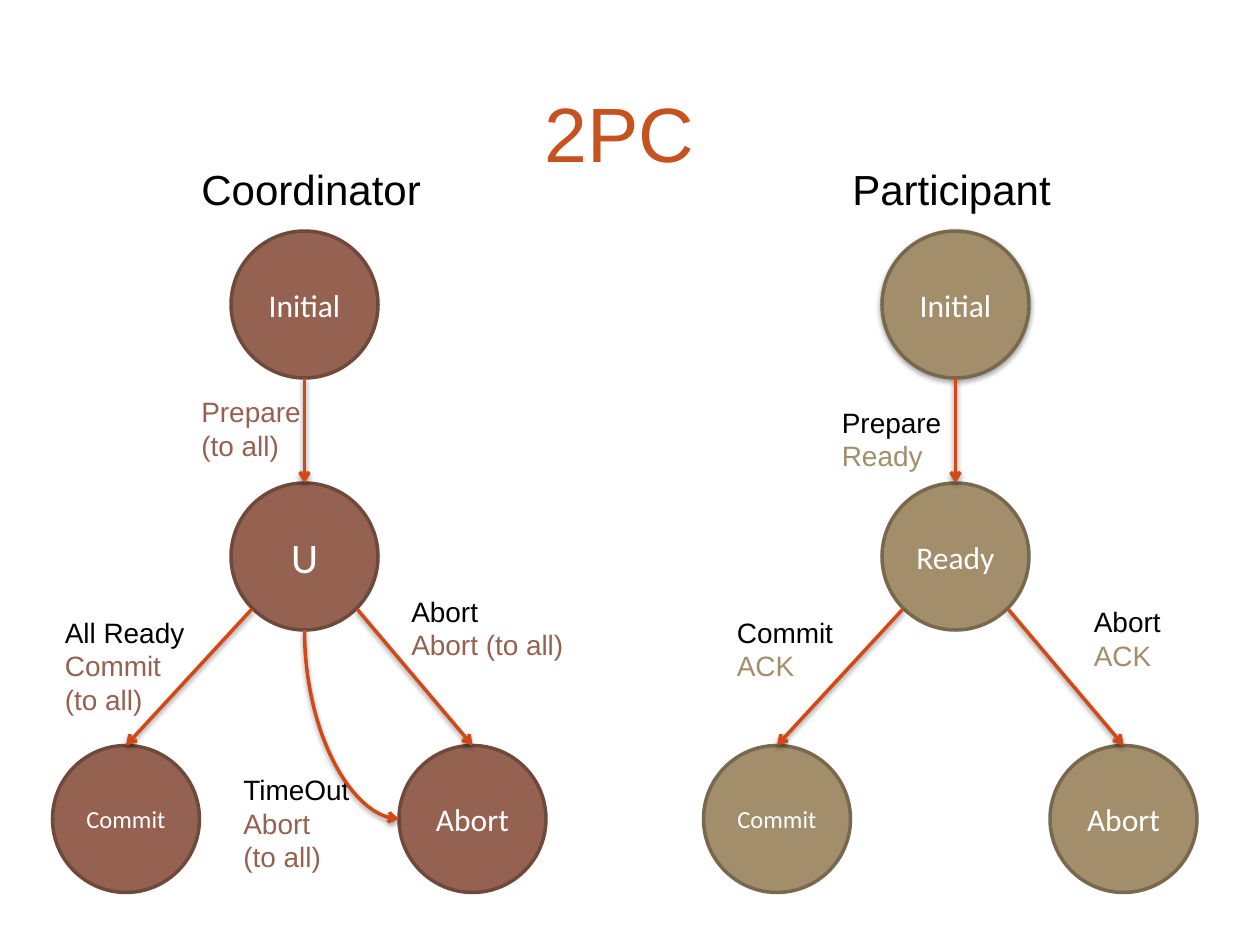
from lxml.etree import SubElement
from pptx import Presentation
from pptx.dml.color import RGBColor
from pptx.enum.shapes import MSO_CONNECTOR, MSO_SHAPE
from pptx.enum.text import MSO_ANCHOR, PP_ALIGN
from pptx.oxml.ns import qn
from pptx.util import Inches, Pt

UNIT = Inches(10) / 120
DIAMETER = 14
BLACK, WHITE, ORANGE, RUST = "000000", "FFFFFF", "D34817", "C6531F"


def rgb(value):
    """Turn a hex string into a colour."""
    return RGBColor.from_string(value)


def grid(*values):
    """Turn grid units into lengths."""
    return [round(v * UNIT) for v in values]


def add_shadow(sp, alpha=38):
    """Give a shape or connector a soft shadow below it."""
    props = sp._element.spPr
    for old in props.findall(qn("a:effectLst")):
        props.remove(old)
    effects = SubElement(props, qn("a:effectLst"))
    shadow = SubElement(effects, qn("a:outerShdw"), blurRad=str(Pt(3.1)),
                        dist=str(Pt(1.6)), dir="5400000", rotWithShape="0")
    color = SubElement(shadow, qn("a:srgbClr"), val=BLACK)
    SubElement(color, qn("a:alpha"), val=str(alpha * 1000))


def write(tf, lines, size, font, colors, align=PP_ALIGN.LEFT):
    """Fill a text frame with one coloured paragraph per line."""
    tf.text = "\n".join(lines)
    for p, color in zip(tf.paragraphs, colors):
        p.alignment = align
        r = p.runs[0]
        r.font.size, r.font.name = Pt(size), font
        r.font.color.rgb = rgb(color)


def add_label(s, x, y, w, h, lines, colors, size=16):
    """Add a left-aligned label."""
    tf = s.shapes.add_textbox(*grid(x, y, w, h)).text_frame
    tf.word_wrap = False
    write(tf, lines, size, "Arial", colors)


def add_state(s, x, y, name, size, fill, line):
    """Add a state circle."""
    sp = s.shapes.add_shape(MSO_SHAPE.OVAL, *grid(x, y, DIAMETER, DIAMETER))
    sp.shadow.inherit = False
    sp.fill.solid()
    sp.fill.fore_color.rgb = rgb(fill)
    sp.line.color.rgb = rgb(line)
    sp.line.width = Pt(2)
    tf = sp.text_frame
    tf.vertical_anchor = MSO_ANCHOR.MIDDLE
    write(tf, [name], size, "Calibri", [WHITE], PP_ALIGN.CENTER)
    return sp


def add_arrow(s, x1, y1, x2, y2, kind=MSO_CONNECTOR.STRAIGHT):
    """Add a transition arrow."""
    c = s.shapes.add_connector(kind, *grid(x1, y1, x2, y2))
    c.line.color.rgb = rgb(ORANGE)
    c.line.width = Pt(2)
    SubElement(c.line._get_or_add_ln(), qn("a:tailEnd"), type="arrow")
    add_shadow(c)
    return c


def add_curve(s, x1, y1, x2, y2):
    """Add an arrow that leaves downwards and bends to the right."""
    c = add_arrow(s, x1, y1, x2, y2, MSO_CONNECTOR.CURVE)
    w, h = x2 - x1, y2 - y1
    c.left, c.top, c.width, c.height = grid(
        x1 + (w - h) / 2, y1 + (h - w) / 2, h, w)
    props = c._element.spPr
    props.find(qn("a:prstGeom")).set("prst", "curvedConnector2")
    xfrm = props.find(qn("a:xfrm"))
    xfrm.set("rot", "16200000")
    xfrm.set("flipH", "1")


def add_title(s, x, y, w, h, text):
    """Add the centred slide title."""
    tf = s.shapes.add_textbox(*grid(x, y, w, h)).text_frame
    tf.word_wrap = True
    tf.vertical_anchor = MSO_ANCHOR.MIDDLE
    write(tf, [text], 44, "Arial", [RUST], PP_ALIGN.CENTER)


def add_machine(s, x, y, heading, width, middle, fill, line, labels):
    """Draw one state machine from its top left corner."""
    add_label(s, x + 13, y, width, 6, [heading], [BLACK], 24)
    states = [(17, 7, "Initial", 18), (17, 31, *middle),
              (33, 56, "Abort", 18), (0, 56, "Commit", 14)]
    circles = [add_state(s, x + dx, y + dy, name, size, fill, line)
               for dx, dy, name, size in states]
    for x1, y1, x2, y2 in [(24, 21, 24, 31), (19, 43, 7, 56), (29, 43, 40, 56)]:
        add_arrow(s, x + x1, y + y1, x + x2, y + y2)
    for dx, dy, w, event, action in labels:
        lines = event + action
        colors = [BLACK] * len(event) + [fill] * len(action)
        add_label(s, x + dx, y + dy, w, 1.2 + 3.2 * len(lines), lines, colors)
    return circles


def main():
    """Build the slide."""
    prs = Presentation()
    prs.slide_width, prs.slide_height = grid(120, 90)
    s = prs.slides.add_slide(prs.slide_layouts[6])
    add_title(s, 5, 5, 108, 15, "2PC")
    add_machine(s, 5, 15, "Coordinator", 23.5, ("U", 24), "956251", "6E493C", [
        (13, 22, 36, [], ["Prepare", "(to all)"]),
        (33, 41, 17, ["Abort"], ["Abort (to all)"]),
        (0, 43, 14, ["All Ready"], ["Commit", "(to all)"]),
        (17, 58, 12.6, ["TimeOut"], ["Abort", "(to all)"])])
    add_curve(s, 29, 60, 38, 78)
    circles = add_machine(
        s, 67, 15, "Participant", 21.6, ("Ready", 18), "A28E6A", "78694E", [
            (12, 23, 36, ["Prepare"], ["Ready"]),
            (36, 42, 9, ["Abort"], ["ACK"]),
            (2, 43, 11.6, ["Commit"], ["ACK"])])
    add_shadow(circles[0], 35)
    prs.save("out.pptx")


if __name__ == "__main__":
    main()
